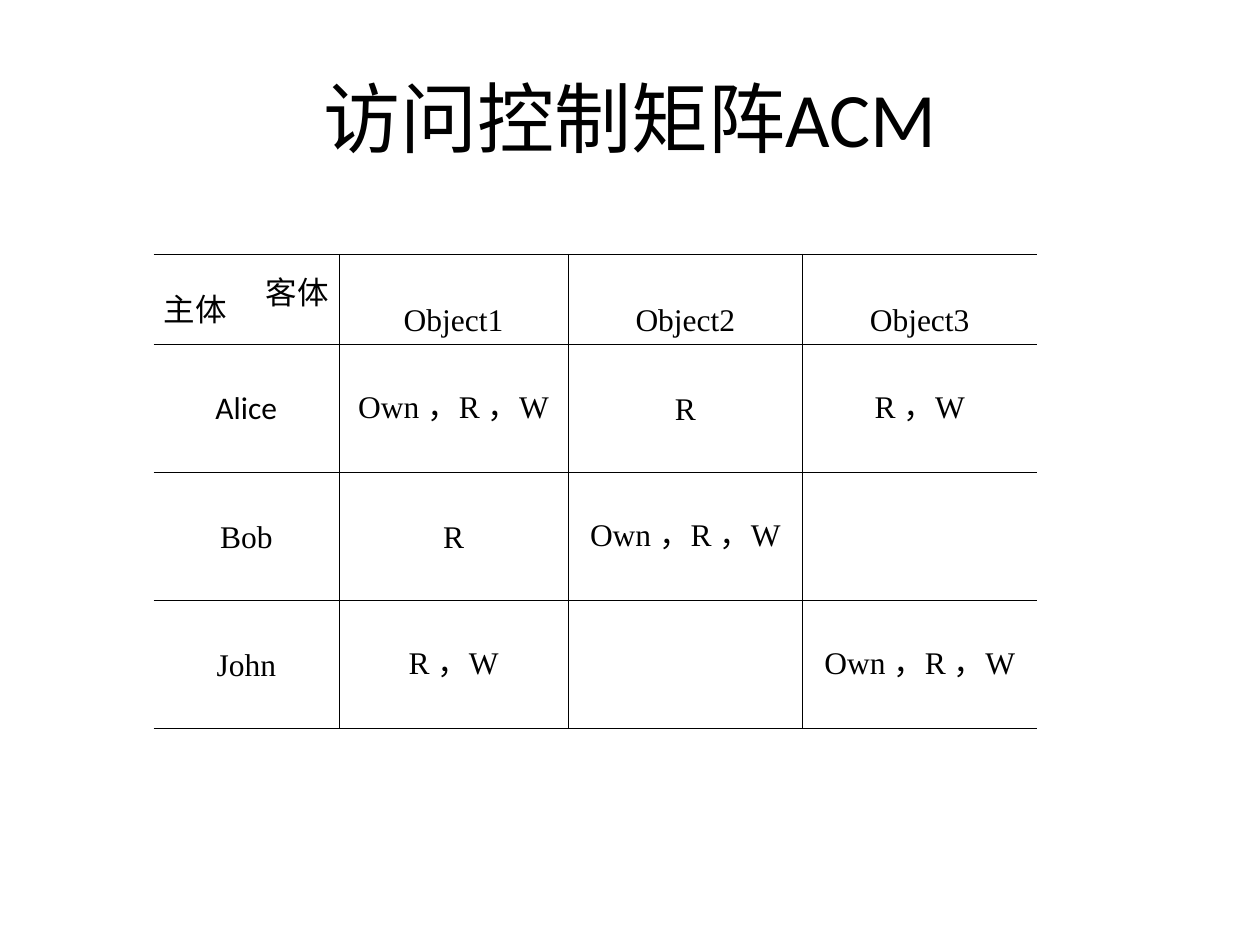
"""Build the access control matrix slide."""
from lxml import etree
from pptx import Presentation
from pptx.dml.color import RGBColor
from pptx.enum.text import MSO_ANCHOR, PP_ALIGN
from pptx.oxml.ns import qn
from pptx.util import Inches, Pt

LEFT, CENTER, RIGHT = PP_ALIGN.LEFT, PP_ALIGN.CENTER, PP_ALIGN.RIGHT
MIDDLE = MSO_ANCHOR.MIDDLE
SERIF, SANS = "Times New Roman", "Calibri"
BLACK = "000000"
THIN, THICK = 0.45, 0.75

COLUMN_WIDTHS = [1.47, 1.82, 1.86, 1.86]
ROW_HEIGHTS = [0.61, 0.92, 0.92, 0.92]
MATRIX = [
    ["", "Object1", "Object2", "Object3"],
    ["Alice", "Own ，R ，W", "R", "R ，W"],
    ["Bob", "R", "Own ，R ，W", ""],
    ["John", "R ，W", "", "Own ，R ，W"],
]


def write(paragraph, text, size=18, font=SERIF, color=BLACK, align=CENTER, spacing=None):
    paragraph.alignment = align
    if spacing:
        paragraph.line_spacing = Pt(spacing)
    run = paragraph.add_run()
    run.text = text
    run.font.size = Pt(size)
    run.font.name = font
    run.font.color.rgb = RGBColor.from_string(color)


def set_borders(cell, widths):
    properties = cell._tc.get_or_add_tcPr()
    for position, (side, width) in enumerate(widths.items()):
        line = etree.Element(qn(f"a:ln{side}"), w=str(Pt(width)))
        properties.insert(position, line)
        if width:
            fill = etree.SubElement(line, qn("a:solidFill"))
            etree.SubElement(fill, qn("a:srgbClr"), val=BLACK)
        else:
            etree.SubElement(line, qn("a:noFill"))


presentation = Presentation()
presentation.slide_width = Inches(10)
presentation.slide_height = Inches(7.5)
slide = presentation.slides.add_slide(presentation.slide_layouts[6])

title = slide.shapes.add_textbox(Inches(0.5), Inches(0.3), Inches(9), Inches(1.25))
title.text_frame.word_wrap = True
title.text_frame.vertical_anchor = MIDDLE
write(title.text_frame.paragraphs[0], "访问控制矩阵ACM", size=44, font=SANS)

last_row, last_column = len(ROW_HEIGHTS) - 1, len(COLUMN_WIDTHS) - 1
table = slide.shapes.add_table(
    len(ROW_HEIGHTS), len(COLUMN_WIDTHS), Inches(1.22), Inches(2.02),
    Inches(sum(COLUMN_WIDTHS)), Inches(sum(ROW_HEIGHTS))).table
table.first_row = table.horz_banding = False
for column, width in zip(table.columns, COLUMN_WIDTHS):
    column.width = Inches(width)
for row, height in zip(table.rows, ROW_HEIGHTS):
    row.height = Inches(height)

for row_index, names in enumerate(MATRIX):
    for column_index, text in enumerate(names):
        cell = table.cell(row_index, column_index)
        cell.fill.background()
        cell.margin_left = cell.margin_right = Inches(0.08)
        cell.margin_bottom = Inches(0.05)
        cell.margin_top = Inches(0.05) + Pt(22)
        set_borders(cell, {
            "L": THIN if column_index else 0,
            "R": THIN if column_index < last_column else 0,
            "T": THIN if row_index else THICK,
            "B": THIN if row_index < last_row else THICK,
        })
        if text:
            font = SANS if text == "Alice" else SERIF
            write(cell.text_frame.paragraphs[0], text, font=font, spacing=22)

corner = table.cell(0, 0)
corner.margin_top = Inches(0.05) + Pt(20)
write(corner.text_frame.paragraphs[0], "客体", align=RIGHT, spacing=10)
write(corner.text_frame.add_paragraph(), "主体", align=LEFT, spacing=10)

presentation.save("out.pptx")
